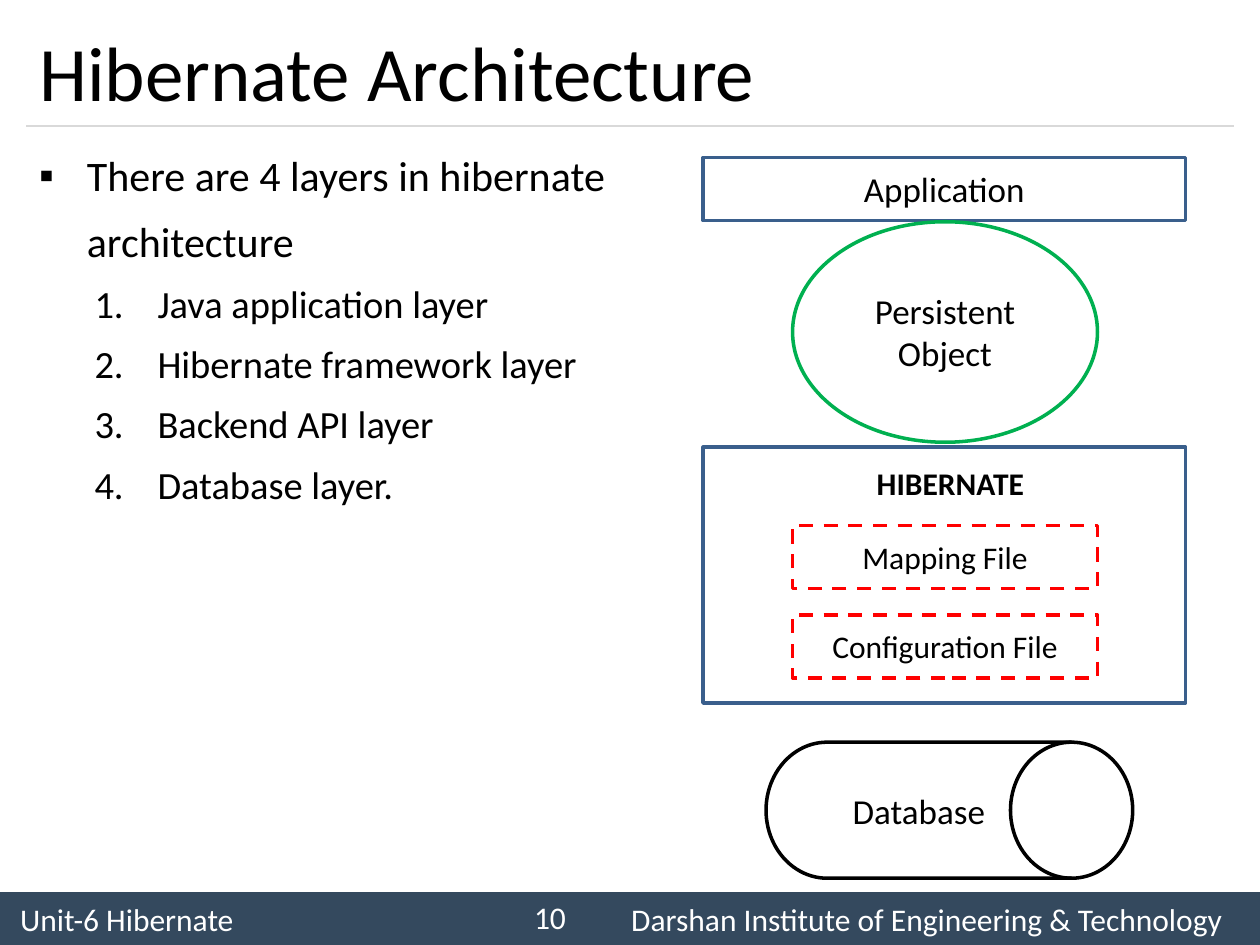
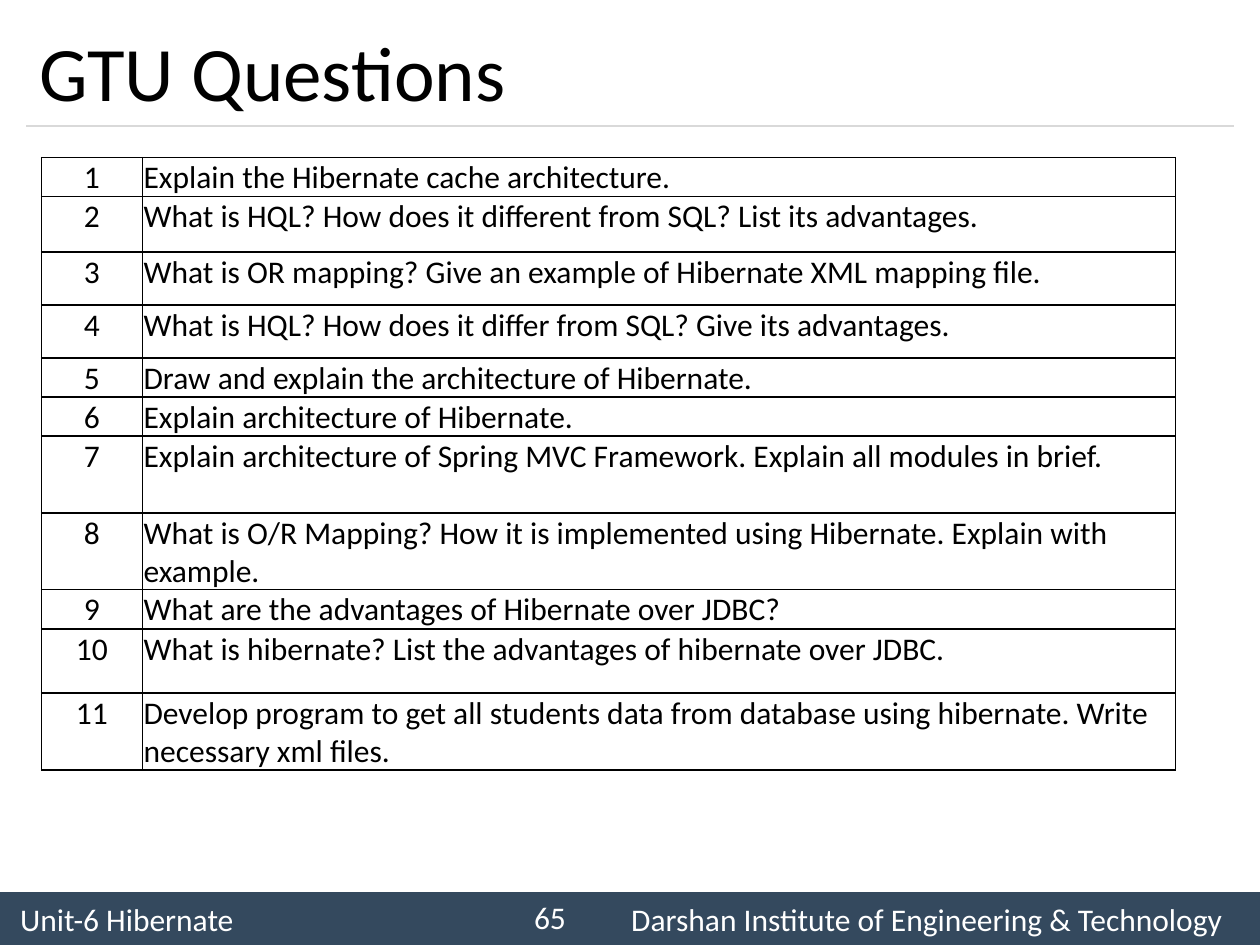
from dataclasses import dataclass

from lxml import etree
from pptx import Presentation
from pptx.dml.color import RGBColor
from pptx.enum.dml import MSO_LINE
from pptx.enum.shapes import MSO_CONNECTOR, MSO_SHAPE
from pptx.enum.text import MSO_ANCHOR, MSO_AUTO_SIZE, PP_ALIGN
from pptx.oxml.ns import qn
from pptx.util import Inches, Pt

LEFT, CENTER, RIGHT, JUSTIFY = PP_ALIGN.LEFT, PP_ALIGN.CENTER, PP_ALIGN.RIGHT, PP_ALIGN.JUSTIFY
MIDDLE = MSO_ANCHOR.MIDDLE
RECTANGLE, OVAL = MSO_SHAPE.RECTANGLE, MSO_SHAPE.OVAL
DRUM = MSO_SHAPE.FLOWCHART_DIRECT_ACCESS_STORAGE
STRAIGHT = MSO_CONNECTOR.STRAIGHT
DASH = MSO_LINE.DASH
NO_AUTOFIT = MSO_AUTO_SIZE.NONE
TITLE_AND_CONTENT, TITLE_ONLY = 1, 5


@dataclass(frozen=True)
class Theme:
    font: str = "Calibri"
    text: str = "000000"
    light: str = "FFFFFF"
    band: str = "34495E"
    rule: str = "D9D9D9"
    layer: str = "3A5F8C"
    persistent: str = "00B050"
    file: str = "FF0000"
    title_size: int = 44
    list_size: int = 24
    sublist_size: int = 22
    diagram_size: int = 20
    small_size: int = 18


THEME = Theme()

MARGIN = 0.21
CONTENT_WIDTH = 9.58
FOOTER = ("Unit-6 Hibernate", "Darshan Institute of Engineering & Technology")

ARCHITECTURE_TITLE = "Hibernate Architecture"
ARCHITECTURE_INTRO = ["There are 4 layers in hibernate", "architecture"]
LAYERS = [
    "Java application layer",
    "Hibernate framework layer",
    "Backend API layer",
    "Database layer.",
]
LAYER_BOX = (5.58, 3.83)
INNER_BOX = (6.29, 2.42)
DRUM_BOX = (6.08, 2.91)
DIAGRAM = [
    (RECTANGLE, LAYER_BOX, 1.25, 0.5, THEME.layer, None, ["Application"], THEME.diagram_size),
    (OVAL, INNER_BOX, 1.76, 1.75, THEME.persistent, None, ["Persistent", "Object"], THEME.diagram_size),
    (RECTANGLE, LAYER_BOX, 3.55, 2.03, THEME.layer, None, [], THEME.small_size),
    (DRUM, DRUM_BOX, 5.89, 1.08, THEME.text, None, ["Database"], THEME.diagram_size),
    (RECTANGLE, INNER_BOX, 4.17, 0.5, THEME.file, DASH, ["Mapping File"], THEME.small_size),
    (RECTANGLE, INNER_BOX, 4.88, 0.5, THEME.file, DASH, ["Configuration File"], THEME.small_size),
]

QUESTIONS_TITLE = "GTU Questions"
QUESTIONS = [
    ("Explain the Hibernate cache architecture.", 0.31),
    ("What is HQL? How does it different from SQL? List its advantages.", 0.44),
    ("What is OR mapping? Give an example of Hibernate XML mapping file.", 0.42),
    ("What is HQL? How does it differ from SQL? Give its advantages.", 0.42),
    ("Draw and explain the architecture of Hibernate.", 0.31),
    ("Explain architecture of Hibernate.", 0.31),
    ("Explain architecture of Spring MVC Framework. Explain all modules in brief.", 0.61),
    ("What is O/R Mapping? How it is implemented using Hibernate. Explain with example.", 0.61),
    ("What are the advantages of Hibernate over JDBC?", 0.31),
    ("What is hibernate? List the advantages of hibernate over JDBC.", 0.51),
    ("Develop program to get all students data from database using hibernate. "
     "Write necessary xml files.", 0.61),
]
QUESTION_COLUMNS = (0.8, 8.2)


def color(value):
    return RGBColor.from_string(value)


def box(left, top, width, height):
    return [Inches(length) for length in (left, top, width, height)]


def move(shape, *place):
    shape.left, shape.top, shape.width, shape.height = box(*place)


def style(paragraph, size, tint=THEME.text, align=LEFT, bold=False):
    paragraph.alignment = align
    font = paragraph.font
    font.name, font.size, font.bold = THEME.font, Pt(size), bold
    font.color.rgb = color(tint)


def fill_text(frame, lines, size, tint=THEME.text, align=LEFT, bold=False):
    frame.text = "\n".join(lines)
    for paragraph in frame.paragraphs:
        style(paragraph, size, tint, align, bold)


def add_rule(slide):
    rule = slide.shapes.add_connector(
        STRAIGHT, Inches(MARGIN), Inches(1), Inches(MARGIN + CONTENT_WIDTH), Inches(1))
    rule.line.color.rgb = color(THEME.rule)
    rule.line.width = Pt(0.75)
    etree.SubElement(rule._element.spPr, qn("a:effectLst"))


def add_footer(slide, number):
    band = slide.shapes.add_shape(RECTANGLE, *box(0, 7.08, 10, 0.42))
    band.shadow.inherit = False
    band.fill.solid()
    band.fill.fore_color.rgb = color(THEME.band)
    band.line.fill.background()
    frame = band.text_frame
    frame.margin_left = Inches(0.16)
    frame.vertical_anchor = MIDDLE
    paragraph = frame.paragraphs[0]
    paragraph.text = "\t".join(FOOTER)
    tabs = etree.SubElement(paragraph._p.get_or_add_pPr(), qn("a:tabLst"))
    etree.SubElement(tabs, qn("a:tab"), pos=str(Inches(4.85)), algn="l")
    style(paragraph, THEME.small_size, THEME.light)

    number_box = slide.shapes.add_textbox(*box(3.92, 7.08, 0.67, 0.4))
    number_box.text_frame.word_wrap = True
    number_box.text_frame.vertical_anchor = MIDDLE
    fill_text(number_box.text_frame, [str(number)], THEME.small_size, THEME.light, RIGHT)


def new_slide(presentation, layout, title_text, number):
    slide = presentation.slides.add_slide(presentation.slide_layouts[layout])
    title = slide.shapes.title
    move(title, MARGIN, 0.12, CONTENT_WIDTH, 0.88)
    title.text_frame.auto_size = NO_AUTOFIT
    title.text_frame.vertical_anchor = MIDDLE
    fill_text(title.text_frame, [title_text], THEME.title_size)
    add_rule(slide)
    add_footer(slide, number)
    return slide


def set_bullet(paragraph, margin, indent, tag, **attributes):
    properties = paragraph._p.get_or_add_pPr()
    properties.set("marL", str(Inches(margin)))
    properties.set("indent", str(Inches(indent)))
    etree.SubElement(properties, qn(tag), **attributes)


def add_layer_list(slide):
    body = slide.placeholders[1]
    move(body, MARGIN, 1.08, 5.2, 5.83)
    frame = body.text_frame
    frame.auto_size = NO_AUTOFIT
    frame.text = "\n".join(ARCHITECTURE_INTRO + LAYERS)
    for index, paragraph in enumerate(frame.paragraphs):
        is_layer = index >= len(ARCHITECTURE_INTRO)
        size = THEME.sublist_size if is_layer else THEME.list_size
        paragraph.level = int(is_layer)
        paragraph.line_spacing = 1.14
        paragraph.space_before = Pt(0.2 * size if index else 0)
        if is_layer:
            set_bullet(paragraph, 0.94, -0.5, "a:buAutoNum", type="arabicPeriod")
        elif index:
            set_bullet(paragraph, 0.38, 0, "a:buNone")
        else:
            set_bullet(paragraph, 0.38, -0.38, "a:buChar", char="▪")
        style(paragraph, size, align=JUSTIFY)


def add_diagram(slide):
    for kind, (left, width), top, height, outline, dash, lines, size in DIAGRAM:
        shape = slide.shapes.add_shape(kind, *box(left, top, width, height))
        shape.shadow.inherit = False
        shape.fill.background()
        shape.line.color.rgb = color(outline)
        shape.line.width = Pt(2)
        if dash:
            shape.line.dash_style = dash
        if lines:
            shape.text_frame.vertical_anchor = MIDDLE
            fill_text(shape.text_frame, lines, size, align=CENTER)
    label = slide.shapes.add_textbox(*box(6.86, 3.63, 1.38, 0.4))
    fill_text(label.text_frame, ["HIBERNATE"], THEME.small_size, bold=True)


def set_borders(cell):
    properties = cell._tc.get_or_add_tcPr()
    for position, side in enumerate(("a:lnL", "a:lnR", "a:lnT", "a:lnB")):
        line = etree.Element(qn(side), w=str(Pt(1)))
        fill = etree.SubElement(line, qn("a:solidFill"))
        etree.SubElement(fill, qn("a:srgbClr"), val=THEME.text)
        properties.insert(position, line)


def add_questions(slide):
    height = sum(row_height for _, row_height in QUESTIONS)
    place = box(0.33, 1.25, sum(QUESTION_COLUMNS), height)
    table = slide.shapes.add_table(len(QUESTIONS), len(QUESTION_COLUMNS), *place).table
    table.first_row = table.horz_banding = False
    for column, width in zip(table.columns, QUESTION_COLUMNS):
        column.width = Inches(width)
    for index, (question, row_height) in enumerate(QUESTIONS):
        row = table.rows[index]
        row.height = Inches(row_height)
        contents = ((str(index + 1), CENTER), (question, LEFT))
        for cell, (text, align) in zip(row.cells, contents):
            cell.margin_left = cell.margin_top = cell.margin_right = Inches(0.01)
            cell.margin_bottom = 0
            cell.fill.background()
            set_borders(cell)
            fill_text(cell.text_frame, [text], THEME.small_size, align=align)


def main():
    presentation = Presentation()
    presentation.slide_width, presentation.slide_height = Inches(10), Inches(7.5)

    architecture = new_slide(presentation, TITLE_AND_CONTENT, ARCHITECTURE_TITLE, 10)
    add_layer_list(architecture)
    add_diagram(architecture)

    questions = new_slide(presentation, TITLE_ONLY, QUESTIONS_TITLE, 65)
    add_questions(questions)

    presentation.save("out.pptx")


if __name__ == "__main__":
    main()
